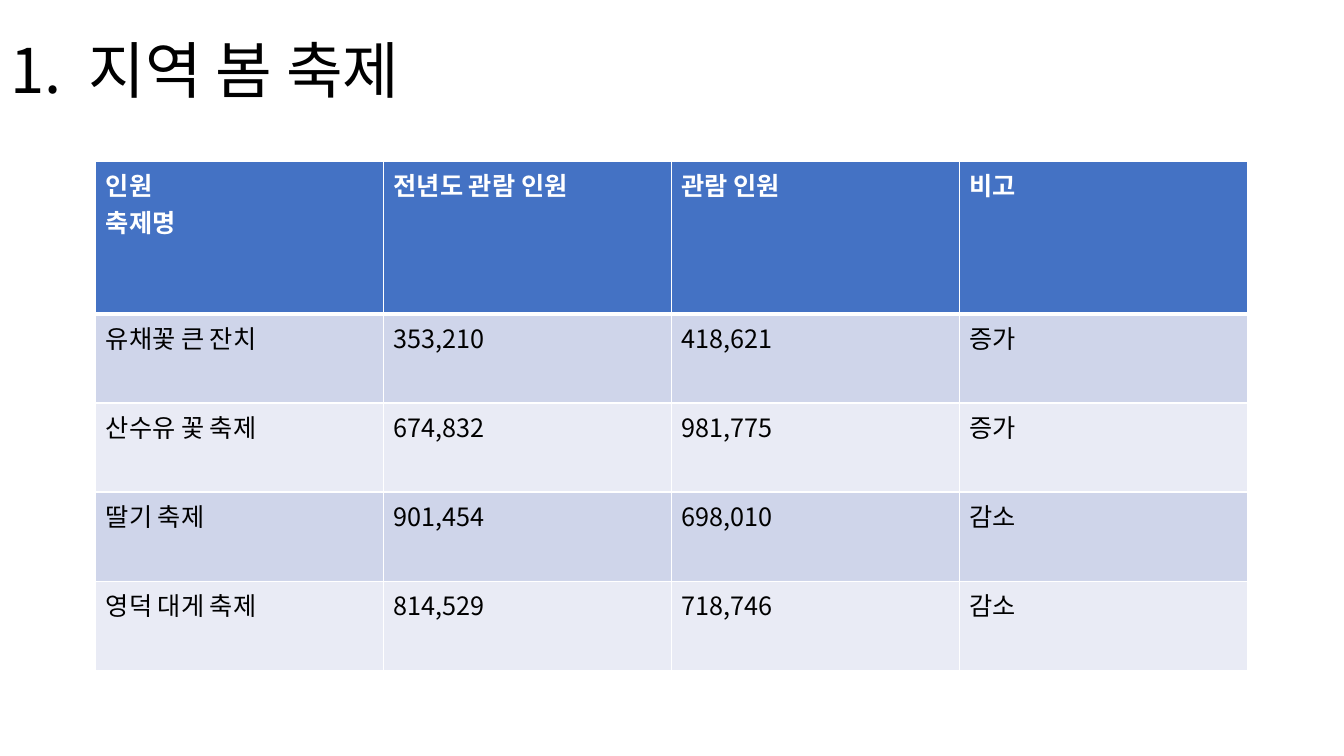
from lxml.etree import SubElement as Sub
from pptx import Presentation as Deck
from pptx.dml.color import RGBColor as RGB
from pptx.enum.text import MSO_ANCHOR as Anchor, MSO_AUTO_SIZE as Auto, PP_ALIGN as Align
from pptx.oxml.ns import qn
from pptx.util import Inches, Pt

WHITE = RGB(255, 255, 255)
BLACK = RGB(0, 0, 0)
BLUE = RGB(0x44, 0x72, 0xC4)
BANDS = RGB(0xE9, 0xEB, 0xF5), RGB(0xCF, 0xD5, 0xEA)
FACE = "Noto Sans CJK KR"
HEAD = {"size": Pt(18), "bold": True}
BODY = {"size": Pt(18), "bold": False}
TITLE = {"size": Pt(44), "bold": False}
FRAME = {"vertical_anchor": Anchor.MIDDLE, "auto_size": Auto.NONE, "word_wrap": True}
WORDS = [("1.", 0), (" ", 950), ("지역 봄 축제", 0)]
ROWS = [
    ["인원\n축제명", "전년도 관람 인원", "관람 인원", "비고"],
    ["유채꽃 큰 잔치", "353,210", "418,621", "증가"],
    ["산수유 꽃 축제", "674,832", "981,775", "증가"],
    ["딸기 축제", "901,454", "698,010", "감소"],
    ["영덕 대게 축제", "814,529", "718,746", "감소"],
]


def apply(item, form):
    """Set each attribute named in a dict of format values."""
    for name, value in form.items():
        setattr(item, name, value)


def style(run, form, color):
    """Give a run its typeface, format and color."""
    apply(run.font, {"name": FACE, **form})
    run.font.color.rgb = color
    props = run._r.get_or_add_rPr()
    Sub(props, qn("a:ea"), typeface=FACE)


def edge(cell, side, width):
    """Draw one white border of a cell."""
    line = Sub(cell._tc.get_or_add_tcPr(), qn("a:ln" + side), w=str(Pt(width)))
    fill = Sub(line, qn("a:solidFill"))
    Sub(fill, qn("a:srgbClr"), val=str(WHITE))


def add_title(slide, box):
    """Place the heading in its box."""
    shape = slide.shapes.title
    apply(shape, dict(zip(("left", "top", "width", "height"), box)))
    frame = shape.text_frame
    apply(frame, FRAME)
    para = frame.paragraphs[0]
    apply(para, {"alignment": Align.LEFT, "line_spacing": 0.9})
    for text, gap in WORDS:
        run = para.add_run()
        run.text = text
        style(run, TITLE, BLACK)
        run._r.get_or_add_rPr().set("spc", str(gap))


def add_grid(slide, box):
    """Fill the box with the festival table."""
    left, top, width, height = box
    grid = slide.shapes.add_table(len(ROWS), len(ROWS[0]), *box).table
    for col in grid.columns:
        col.width = width // len(ROWS[0])
    for i, row in enumerate(grid.rows):
        row.height = int(height * (0.175 if i else 0.3))
        for cell, text in zip(row.cells, ROWS[i]):
            cell.text = text
            for side in "LRTB":
                thick = (i, side) in ((0, "B"), (1, "T"))
                edge(cell, side, 3 if thick else 1)
            cell.fill.solid()
            cell.fill.fore_color.rgb = BANDS[i % 2] if i else BLUE
            for para in cell.text_frame.paragraphs:
                for run in para.runs:
                    style(run, BODY if i else HEAD, BLACK if i else WHITE)


def main():
    """Build and save the slide."""
    deck = Deck()
    apply(deck, {"slide_width": Inches(13.33), "slide_height": Inches(7.5)})
    slide = deck.slides.add_slide(deck.slide_layouts[5])
    add_title(slide, [Inches(n) for n in (0, 0, 11.5, 1.45)])
    add_grid(slide, [Inches(n) for n in (0.95, 1.6, 11.42, 5.05)])
    deck.save("out.pptx")


if __name__ == "__main__":
    main()
